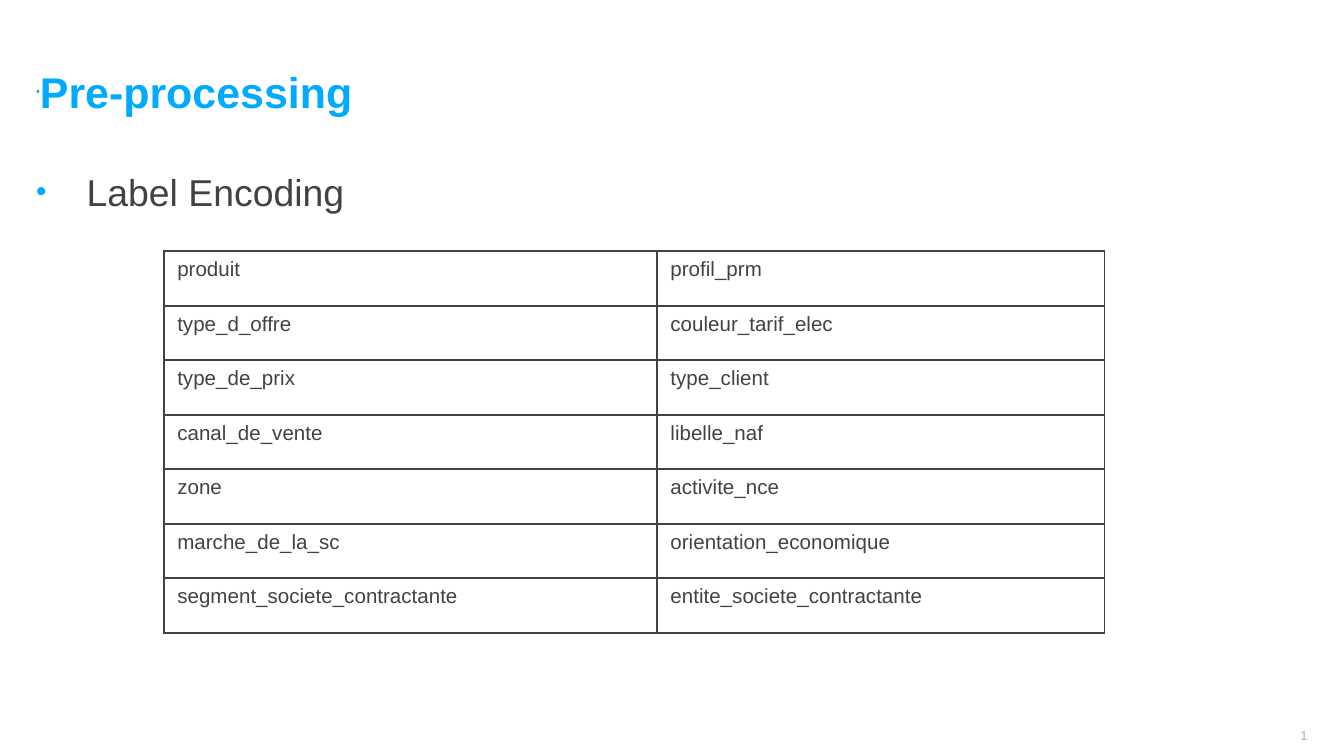
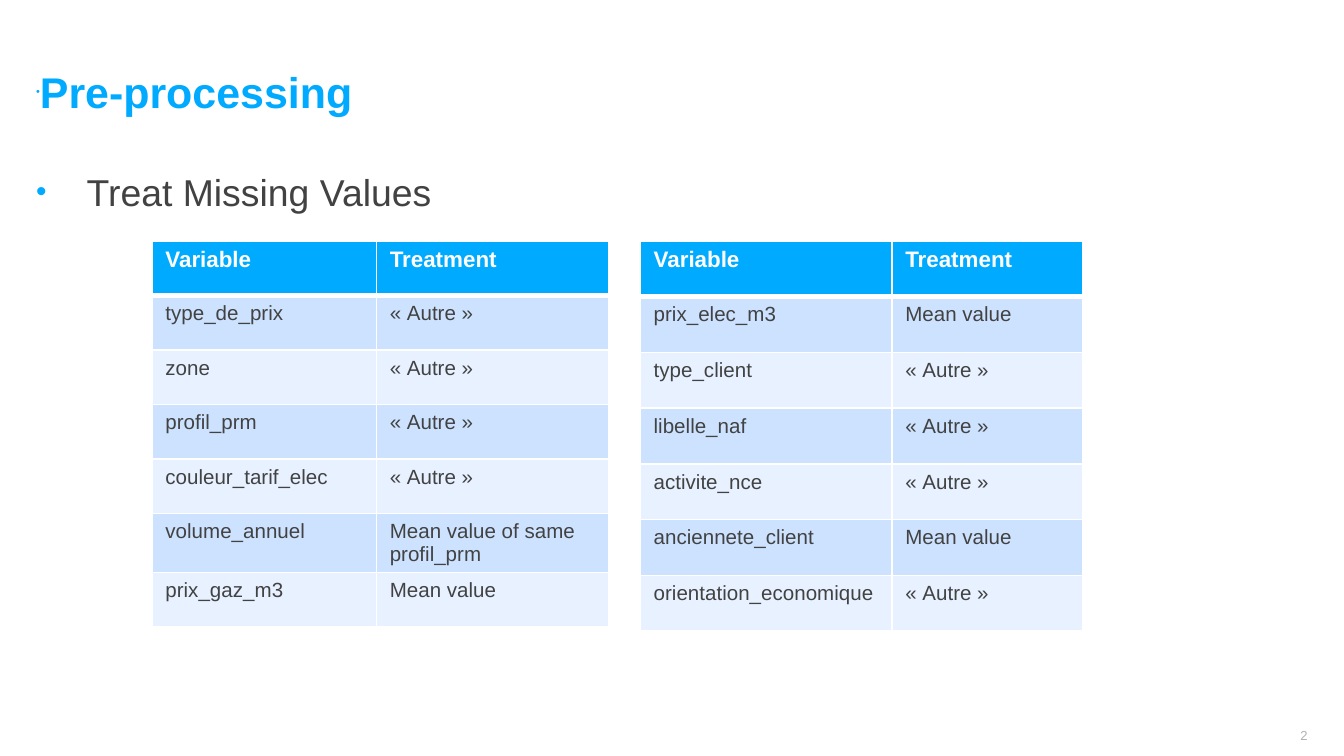
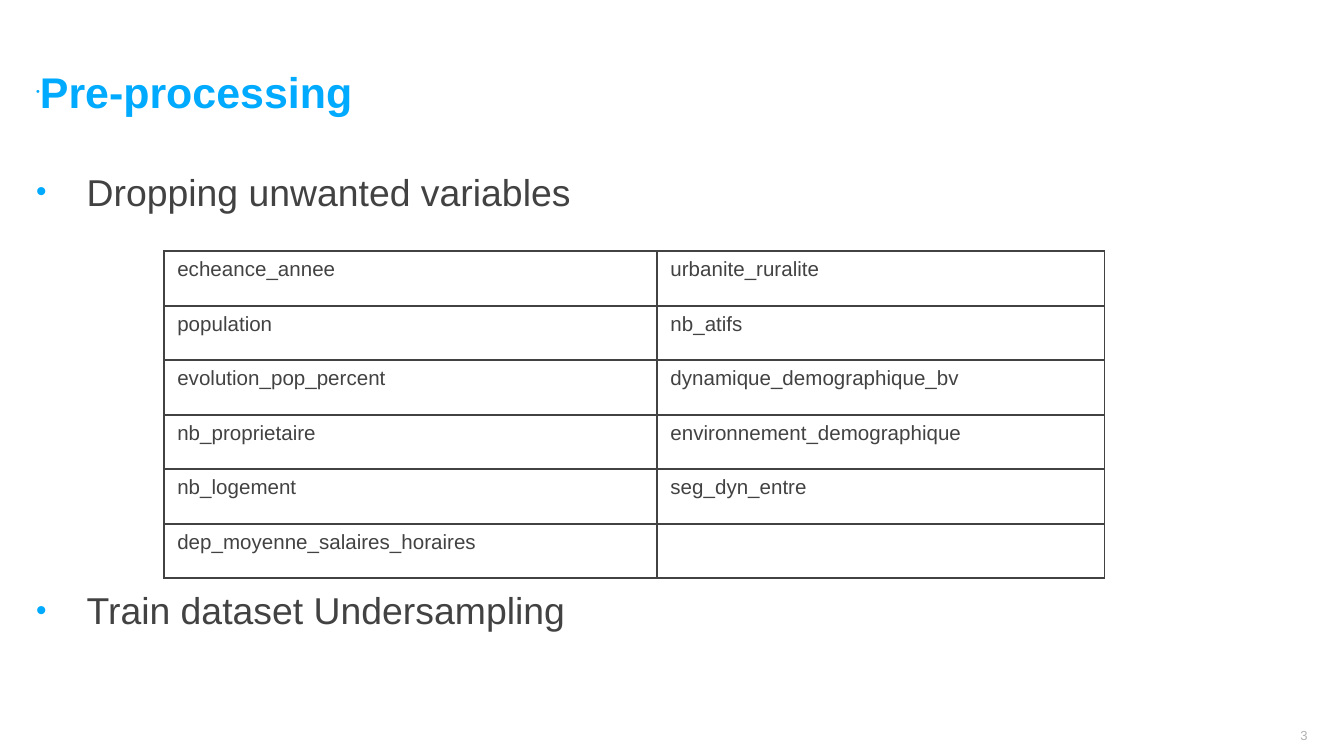
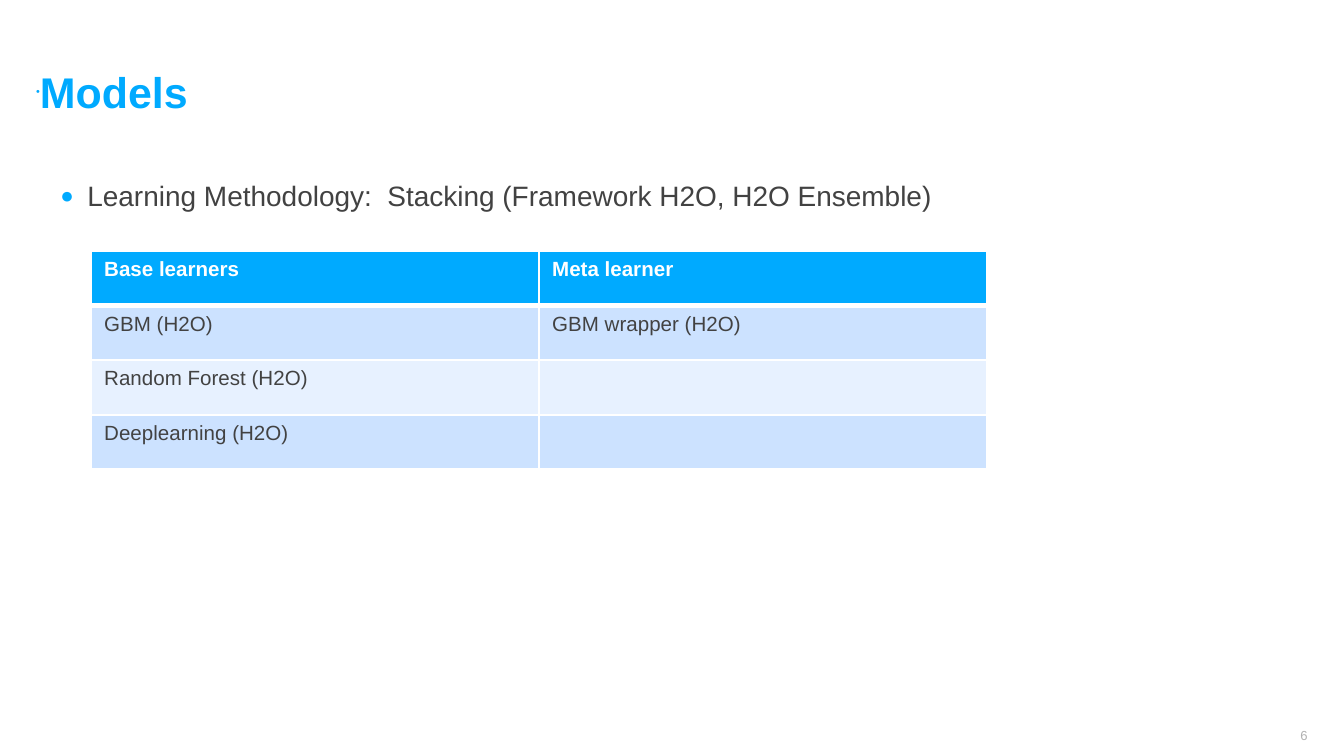
import dataclasses
import typing

import lxml.etree
import pptx
import pptx.dml.color
import pptx.enum.text
import pptx.oxml.ns
import pptx.util

Pt = pptx.util.Pt
Align = pptx.enum.text.PP_ALIGN
Anchor = pptx.enum.text.MSO_ANCHOR
qn = pptx.oxml.ns.qn


@dataclasses.dataclass(frozen=True)
class Theme:
    font: str = "Arial"
    blue: str = "00AAFF"
    ink: str = "424242"
    grey: str = "B1B1B1"
    white: str = "FFFFFF"
    bands: tuple[str, str] = ("CCE2FF", "E7F1FF")
    title: float = 23
    point: float = 20
    note: float = 15
    head: float = 12
    cell: float = 11
    page: float = 7
    thin: float = 1
    thick: float = 3


THEME = Theme()


class Box(typing.NamedTuple):
    left: float
    top: float
    width: float
    height: float


@dataclasses.dataclass(frozen=True)
class Bullet:
    text: str
    size: float = THEME.point
    mark: str = "•"
    indent: float = 27
    before: float = 6


@dataclasses.dataclass(frozen=True)
class Grid:
    """A table; one with a head is filled in bands, one without is ruled."""
    left: float
    top: float
    cols: tuple[float, float]
    rows: list[tuple[str, str]]
    row: float = 29.2
    head: float = 0


@dataclasses.dataclass(frozen=True)
class Page:
    title: str
    number: int
    body: Box
    points: list[Bullet]
    grids: list[Grid]


# Places shared by the slides
WIDE, HIGH = 720, 405
TITLE = Box(19.4, 23.8, 680.4, 54)
BODY = Box(19.4, 89.3, 680.4, 294.5)
NOTE = Box(32.4, 95, 655.2, 266.4)
NUMBER = Box(649.4, 385.2, 51.1, 19.4)
RULED = {"left": 87.8, "top": 134.6, "cols": (264.2, 239.8)}

OTHER = "«\u00a0Autre\u00a0»"
MEAN = "Mean value"
HEADS = ("Variable", "Treatment")

PAGES = [
    Page("Pre-processing", 1, BODY, [Bullet("Label Encoding")], [
        Grid(rows=[
            ("produit", "profil_prm"),
            ("type_d_offre", "couleur_tarif_elec"),
            ("type_de_prix", "type_client"),
            ("canal_de_vente", "libelle_naf"),
            ("zone", "activite_nce"),
            ("marche_de_la_sc", "orientation_economique"),
            ("segment_societe_contractante", "entite_societe_contractante"),
        ], **RULED),
    ]),
    Page("Pre-processing", 2, BODY, [Bullet("Treat Missing Values")], [
        Grid(81.4, 129, (120.2, 124.6), [
            HEADS,
            ("type_de_prix", OTHER),
            ("zone", OTHER),
            ("profil_prm", OTHER),
            ("couleur_tarif_elec", OTHER),
            ("volume_annuel", "Mean value of same profil_prm"),
            ("prix_gaz_m3", MEAN),
        ], head=THEME.head),
        Grid(343, 129, (134.8, 102.2), [
            HEADS,
            ("prix_elec_m3", MEAN),
            ("type_client", OTHER),
            ("libelle_naf", OTHER),
            ("activite_nce", OTHER),
            ("anciennete_client", MEAN),
            ("orientation_economique", OTHER),
        ], row=29.9, head=THEME.head),
    ]),
    Page("Pre-processing", 3, BODY, [
        Bullet("Dropping unwanted variables"),
        Bullet("Train dataset Undersampling", before=193),
    ], [
        Grid(rows=[
            ("echeance_annee", "urbanite_ruralite"),
            ("population", "nb_atifs"),
            ("evolution_pop_percent", "dynamique_demographique_bv"),
            ("nb_proprietaire", "environnement_demographique"),
            ("nb_logement", "seg_dyn_entre"),
            ("dep_moyenne_salaires_horaires", ""),
        ], **RULED),
    ]),
    Page("Models", 6, NOTE, [
        Bullet("Learning Methodology:  Stacking (Framework H2O, H2O Ensemble)",
               THEME.note, "●", 14.4),
    ], [
        Grid(48.6, 134.6, (240, 240), [
            ("Base learners", "Meta learner"),
            ("GBM (H2O)", "GBM wrapper (H2O)"),
            ("Random Forest (H2O)", ""),
            ("Deeplearning (H2O)", ""),
        ], head=THEME.cell),
    ]),
]


def tint(code: str) -> pptx.dml.color.RGBColor:
    return pptx.dml.color.RGBColor.from_string(code)


def style(para, size: float, color: str, bold: bool = False) -> None:
    font = para.font
    font.name, font.size, font.bold = THEME.font, Pt(size), bold
    font.color.rgb = tint(color)


def mark(para, char: str, scale: int, indent: float = 0) -> None:
    """Put a blue bullet before a paragraph; call it ahead of style()."""
    props = para._p.get_or_add_pPr()
    props.set("marL", str(Pt(indent)))
    props.set("indent", str(-Pt(indent)))
    color = lxml.etree.SubElement(props, qn("a:buClr"))
    lxml.etree.SubElement(color, qn("a:srgbClr"), val=THEME.blue)
    lxml.etree.SubElement(props, qn("a:buSzPct"), val=str(scale * 1000))
    lxml.etree.SubElement(props, qn("a:buFont"), typeface=THEME.font)
    lxml.etree.SubElement(props, qn("a:buChar"), char=char)


def frame(shape, anchor, top: float = 0):
    """Give a text frame plain margins and return it."""
    text = shape.text_frame
    text.word_wrap = True
    text.auto_size = pptx.enum.text.MSO_AUTO_SIZE.NONE
    text.vertical_anchor = anchor
    text.margin_left = text.margin_right = text.margin_bottom = 0
    text.margin_top = Pt(top)
    return text


def add_box(slide, box: Box, top: float = 0):
    shape = slide.shapes.add_textbox(*map(Pt, box))
    return frame(shape, Anchor.TOP, top)


def add_title(slide, title: str) -> None:
    shape = slide.shapes.title
    shape.left, shape.top, shape.width, shape.height = map(Pt, TITLE)
    para = frame(shape, Anchor.MIDDLE).paragraphs[0]
    para.text = title
    para.alignment = Align.LEFT
    para.line_spacing = 0.9
    mark(para, "•", 25)
    style(para, THEME.title, THEME.blue, True)


def add_points(slide, box: Box, points: list[Bullet]) -> None:
    text = add_box(slide, box)
    for index, point in enumerate(points):
        para = text.add_paragraph() if index else text.paragraphs[0]
        para.text = point.text
        para.line_spacing = 1.05
        para.space_before, para.space_after = Pt(point.before), Pt(6)
        mark(para, point.mark, 80, point.indent)
        style(para, point.size, THEME.ink)


def add_number(slide, number: int) -> None:
    para = add_box(slide, NUMBER, 4.3).paragraphs[0]
    para.text = str(number)
    para.alignment = Align.RIGHT
    style(para, THEME.page, THEME.grey)


def edge(cell, color: str, top: float, bottom: float) -> None:
    """Draw the four borders of a cell."""
    props = cell._tc.get_or_add_tcPr()
    sides = {"L": THEME.thin, "R": THEME.thin, "T": top, "B": bottom}
    for side, width in sides.items():
        line = lxml.etree.SubElement(props, qn("a:ln" + side),
                                     w=str(Pt(width)))
        fill = lxml.etree.SubElement(line, qn("a:solidFill"))
        lxml.etree.SubElement(fill, qn("a:srgbClr"), val=color)


def add_grid(slide, grid: Grid) -> None:
    count = len(grid.rows)
    table = slide.shapes.add_table(
        count, len(grid.cols), Pt(grid.left), Pt(grid.top),
        Pt(sum(grid.cols)), Pt(grid.row * count)).table
    table.first_row = table.horz_banding = False
    for col, width in zip(table.columns, grid.cols):
        col.width = Pt(width)
    for y, words in enumerate(grid.rows):
        table.rows[y].height = Pt(grid.row)
        is_head = bool(grid.head) and y == 0
        # The heavy rule lies between the head and the first band
        top = THEME.thick if grid.head and y == 1 else THEME.thin
        bottom = THEME.thick if is_head else THEME.thin
        for x, word in enumerate(words):
            cell = table.cell(y, x)
            edge(cell, THEME.white if grid.head else THEME.ink, top, bottom)
            if grid.head:
                cell.fill.solid()
                cell.fill.fore_color.rgb = tint(
                    THEME.blue if is_head else THEME.bands[(y - 1) % 2])
            else:
                cell.fill.background()
            para = cell.text_frame.paragraphs[0]
            para.text = word
            if is_head:
                style(para, grid.head, THEME.white, True)
            else:
                style(para, THEME.cell, THEME.ink)


def build() -> None:
    deck = pptx.Presentation()
    deck.slide_width, deck.slide_height = Pt(WIDE), Pt(HIGH)
    layout = deck.slide_layouts.get_by_name("Title Only")
    for page in PAGES:
        slide = deck.slides.add_slide(layout)
        add_title(slide, page.title)
        add_points(slide, page.body, page.points)
        for grid in page.grids:
            add_grid(slide, grid)
        add_number(slide, page.number)
    deck.save("out.pptx")


build()
